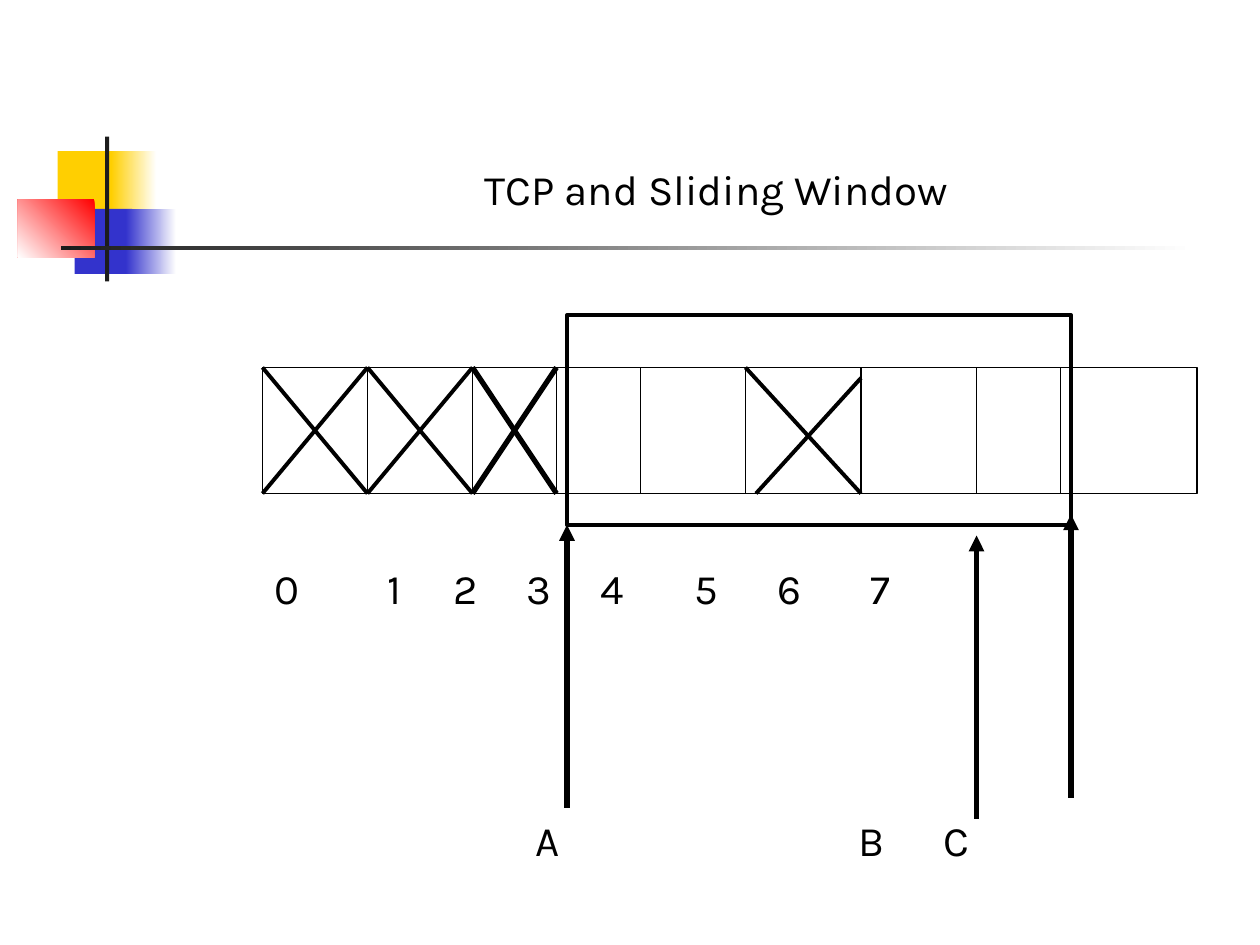
from pptx import Presentation
from pptx.dml.color import RGBColor
from pptx.enum.shapes import MSO_CONNECTOR as Link, MSO_SHAPE as Kind
from pptx.util import Pt
from pptx.oxml.ns import qn
from lxml.etree import SubElement as Sub

PX = 7620
BLACK = "000000"
WHITE = "FFFFFF"


def px(*nums):
    return [n * PX for n in nums]


def paint(part, color):
    part.solid()
    part.fore_color.rgb = RGBColor.from_string(color)


def rect(slide, x, y, w, h, fill=None, fade=None, angle=0, line=None):
    shape = slide.shapes.add_shape(Kind.RECTANGLE, *px(x, y, w, h))
    shape.shadow.inherit = False
    if fade:
        shape.fill.gradient()
        shape.fill.gradient_angle = angle
        for stop, color in zip(shape.fill.gradient_stops, fade):
            stop.color.rgb = RGBColor.from_string(color)
    elif fill:
        paint(shape.fill, fill)
    else:
        shape.fill.background()
    if line:
        paint(shape.line.fill, BLACK)
        shape.line.width = Pt(line)
    else:
        shape.line.fill.background()


def stroke(slide, x1, y1, x2, y2, width, arrow=False):
    line = slide.shapes.add_connector(Link.STRAIGHT, *px(x1, y1, x2, y2))
    paint(line.line.fill, BLACK)
    line.line.width = Pt(width)
    props = line._element.spPr
    if arrow:
        Sub(props.find(qn("a:ln")), qn("a:headEnd"), type="triangle")
    Sub(props, qn("a:effectLst"))


def label(slide, box, text, tabs=()):
    frame = slide.shapes.add_textbox(*px(*box)).text_frame
    frame.word_wrap = True
    frame.text = text
    para = frame.paragraphs[0]
    para.space_before = Pt(15)
    if tabs:
        stops = Sub(para._p.get_or_add_pPr(), qn("a:tabLst"))
        for tab in tabs:
            Sub(stops, qn("a:tab"), pos=str(tab * PX), algn="l")
    font = para.runs[0].font
    font.name = "Karla"
    font.size = Pt(24)
    font.color.rgb = RGBColor.from_string(BLACK)


def motif(slide, x, y):
    gold, blue, red, ink = "FFCF01", "3333CC", "FF0000", "1C1C1C"
    rect(slide, x + 38, y + 14, 58, 62, gold)
    rect(slide, x + 89, y + 14, 43, 62, fade=(gold, WHITE))
    rect(slide, x + 54, y + 69, 55, 62, blue)
    rect(slide, x + 103, y + 69, 48, 62, fade=(blue, WHITE))
    rect(slide, x, y + 60, 73, 55, fade=(red, WHITE), angle=225)
    rect(slide, x + 83, y, 4, 138, ink)
    rect(slide, x + 41, y + 104, 1080, 4, fade=(ink, WHITE))


def strip(slide, x, y, w, h):
    rect(slide, x, y, w, h, line=0.75)
    rect(slide, x + w, y, 130, h, line=0.75)
    for dx in (100, 200, 280, 360, 460, 570, 680):
        stroke(slide, x + dx, y, x + dx, y + h, 0.75)
    for left, right, width in ((0, 100, 2.25), (100, 200, 2.25), (200, 280, 3)):
        stroke(slide, x + left, y, x + right, y + h, width)
        stroke(slide, x + left, y + h, x + right, y, width)
    stroke(slide, x + 460, y, x + 570, y + h, 2.25)
    stroke(slide, x + 570, y + 10, x + 470, y + h, 2.25)


def window(slide, x, y, w, h):
    rect(slide, x, y, w, h, line=2.25)
    for dx, dy in ((0, 0), (390, 10), (w, -10)):
        top = y + h + dy
        stroke(slide, x + dx, top, x + dx, top + 270, 3, arrow=True)


def main():
    deck = Presentation()
    deck.slide_width, deck.slide_height = px(1200, 900)
    slide = deck.slides.add_slide(deck.slide_layouts[6])
    motif(slide, 17, 130)
    label(slide, (450, 150, 620, 60), "TCP and Sliding Window")
    strip(slide, 250, 350, 760, 120)
    window(slide, 540, 300, 480, 200)
    label(slide, (250, 530, 770, 60), "\t".join("01234567"),
          (107, 170, 240, 310, 400, 479, 567))
    label(slide, (470, 770, 610, 60), "\tA\tB\tC", (28, 336, 417))
    deck.save("out.pptx")


if __name__ == "__main__":
    main()
